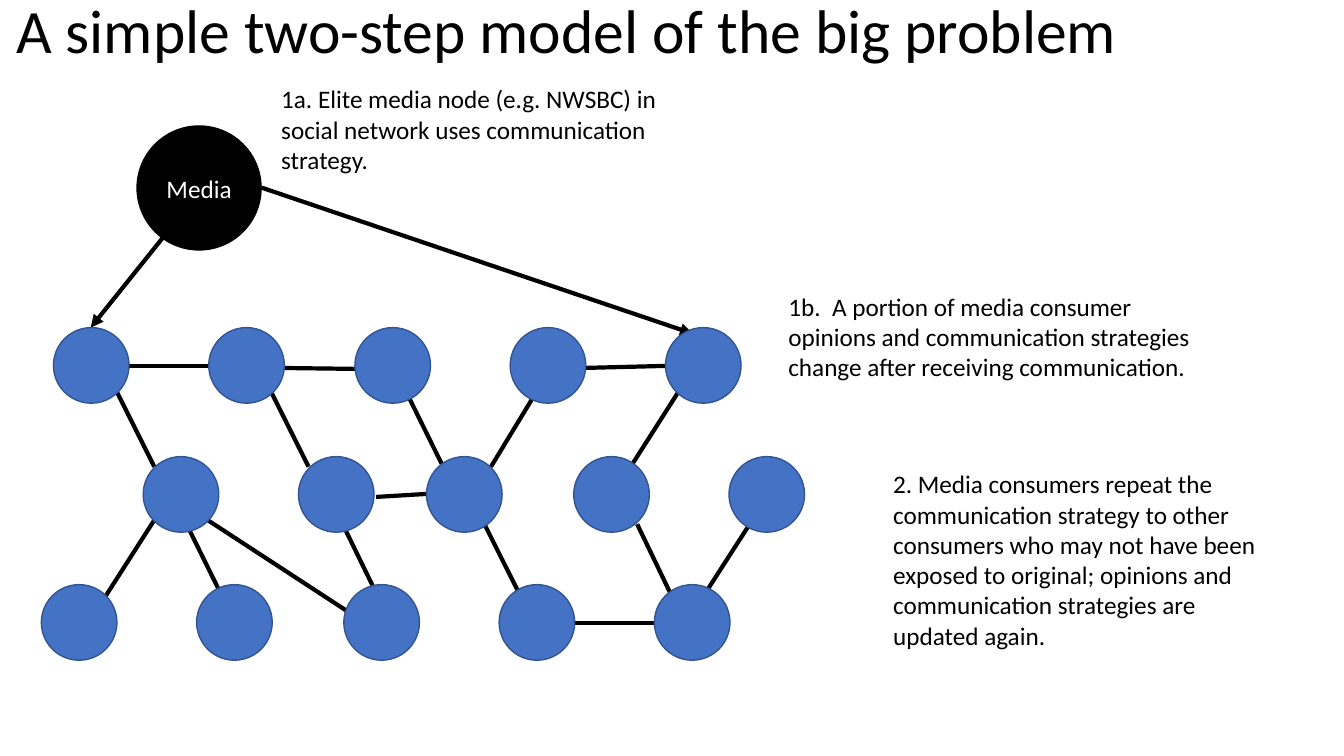
import pptx
import pptx.dml.color
import pptx.enum.shapes
import pptx.enum.text
import pptx.oxml
import pptx.oxml.ns
import pptx.util

Inches = pptx.util.Inches
Pt = pptx.util.Pt
RGBColor = pptx.dml.color.RGBColor
Anchor = pptx.enum.text.MSO_ANCHOR
Align = pptx.enum.text.PP_ALIGN
AutoSize = pptx.enum.text.MSO_AUTO_SIZE

BLACK = RGBColor(0x00, 0x00, 0x00)
WHITE = RGBColor(0xFF, 0xFF, 0xFF)
BLUE = RGBColor(0x44, 0x72, 0xC4)
DARK_BLUE = RGBColor(0x32, 0x54, 0x91)

NODE_SIZE = 0.75
NODE_ROWS = {
    3.25: (0.53, 2.07, 3.52, 5.06, 6.6),
    4.53: (1.42, 2.96, 4.23, 5.69, 7.23),
    5.8: (0.41, 1.95, 3.41, 4.95, 6.49),
}
TIES = (
    (1.27, 3.63, 2.07, 3.63),
    (2.75, 3.65, 3.55, 3.66),
    (5.8, 3.65, 6.6, 3.63),
    (1.16, 3.89, 1.53, 4.63),
    (2.69, 3.89, 3.06, 4.63),
    (4.01, 3.85, 4.38, 4.6),
    (5.38, 3.79, 4.87, 4.63),
    (6.88, 3.65, 6.23, 4.67),
    (3.73, 4.93, 4.23, 4.9),
    (1.53, 5.16, 1.05, 5.91),
    (1.85, 5.2, 2.22, 5.95),
    (2.06, 5.16, 3.73, 6.25),
    (3.35, 5.1, 3.71, 5.84),
    (4.78, 5.15, 5.15, 5.89),
    (6.32, 5.2, 6.68, 5.95),
    (7.5, 5.1, 6.85, 6.11),
    (5.69, 6.18, 6.49, 6.18),
)
BROADCASTS = (
    (1.71, 2.24, 0.9, 3.25),
    (2.59, 1.86, 6.87, 3.31),
)
NOTES = (
    (2.69, 0.78, 4.08, 1.01,
     "1a. Elite media node (e.g. NWSBC) in social network uses "
     "communication strategy."),
    (7.72, 2.84, 4.45, 1.01,
     "1b.  A portion of media consumer opinions and communication "
     "strategies change after receiving communication."),
    (8.76, 4.6, 4.08, 1.92,
     "2. Media consumers repeat the communication strategy to other "
     "consumers who may not have been exposed to original; opinions and "
     "communication strategies are updated again."),
)


class NetworkSlide:
    font = "Calibri"
    body_size = Pt(18)
    title_size = Pt(44)
    tie_width = Pt(3)

    def __init__(self, prs):
        self.slide = prs.slides.add_slide(prs.slide_layouts[5])
        self.shapes = self.slide.shapes

    def set_text(self, sp, text, size, color, frame, para):
        tf = sp.text_frame
        for name, value in frame.items():
            setattr(tf, name, value)
        p = tf.paragraphs[0]
        for name, value in para.items():
            setattr(p, name, value)
        r = p.add_run()
        r.text = text
        for name, value in {"name": self.font, "size": size}.items():
            setattr(r.font, name, value)
        r.font.color.rgb = color

    def title(self, x, y, w, h, text):
        sp = self.shapes.title
        place = {"left": x, "top": y, "width": w, "height": h}
        for name, value in place.items():
            setattr(sp, name, Inches(value))
        frame = {"word_wrap": True, "auto_size": AutoSize.NONE,
                 "vertical_anchor": Anchor.MIDDLE}
        para = {"alignment": Align.LEFT, "line_spacing": 0.9}
        self.set_text(sp, text, self.title_size, BLACK, frame, para)

    def note(self, x, y, w, h, text):
        sp = self.shapes.add_textbox(*map(Inches, (x, y, w, h)))
        frame = {"word_wrap": True, "auto_size": AutoSize.SHAPE_TO_FIT_TEXT}
        self.set_text(sp, text, self.body_size, BLACK, frame, {})

    def node(self, x, y, size, fill, outline, text=None):
        sp = self.shapes.add_shape(
            pptx.enum.shapes.MSO_SHAPE.OVAL,
            *map(Inches, (x, y, size, size)))
        sp.shadow.inherit = False
        sp.fill.solid()
        sp.fill.fore_color.rgb = fill
        sp.line.color.rgb = outline
        sp.line.width = Pt(1)
        if text:
            self.set_text(sp, text, self.body_size, WHITE,
                          {"vertical_anchor": Anchor.MIDDLE},
                          {"alignment": Align.CENTER})

    def tie(self, x1, y1, x2, y2, arrow=False):
        sp = self.shapes.add_connector(
            pptx.enum.shapes.MSO_CONNECTOR.STRAIGHT,
            *map(Inches, (x1, y1, x2, y2)))
        sp.line.color.rgb = BLACK
        sp.line.width = self.tie_width
        ns = pptx.oxml.ns.nsdecls("a")
        props = sp._element.spPr
        if arrow:
            props.find(pptx.oxml.ns.qn("a:ln")).append(
                pptx.oxml.parse_xml(f'<a:tailEnd {ns} type="triangle"/>'))
        props.append(pptx.oxml.parse_xml(f"<a:effectLst {ns}/>"))


def main():
    prs = pptx.Presentation()
    prs.slide_width = Inches(13.33)
    prs.slide_height = Inches(7.5)
    s = NetworkSlide(prs)
    s.title(0.06, -0.39, 11.5, 1.45,
            "A simple two-step model of the big problem")
    for tie in TIES:
        s.tie(*tie)
    s.node(1.36, 1.25, 1.23, BLACK, BLACK, "Media")
    for broadcast in BROADCASTS:
        s.tie(*broadcast, arrow=True)
    for y, row in NODE_ROWS.items():
        for x in row:
            s.node(x, y, NODE_SIZE, BLUE, DARK_BLUE)
    for note in NOTES:
        s.note(*note)
    prs.save("out.pptx")


if __name__ == "__main__":
    main()
